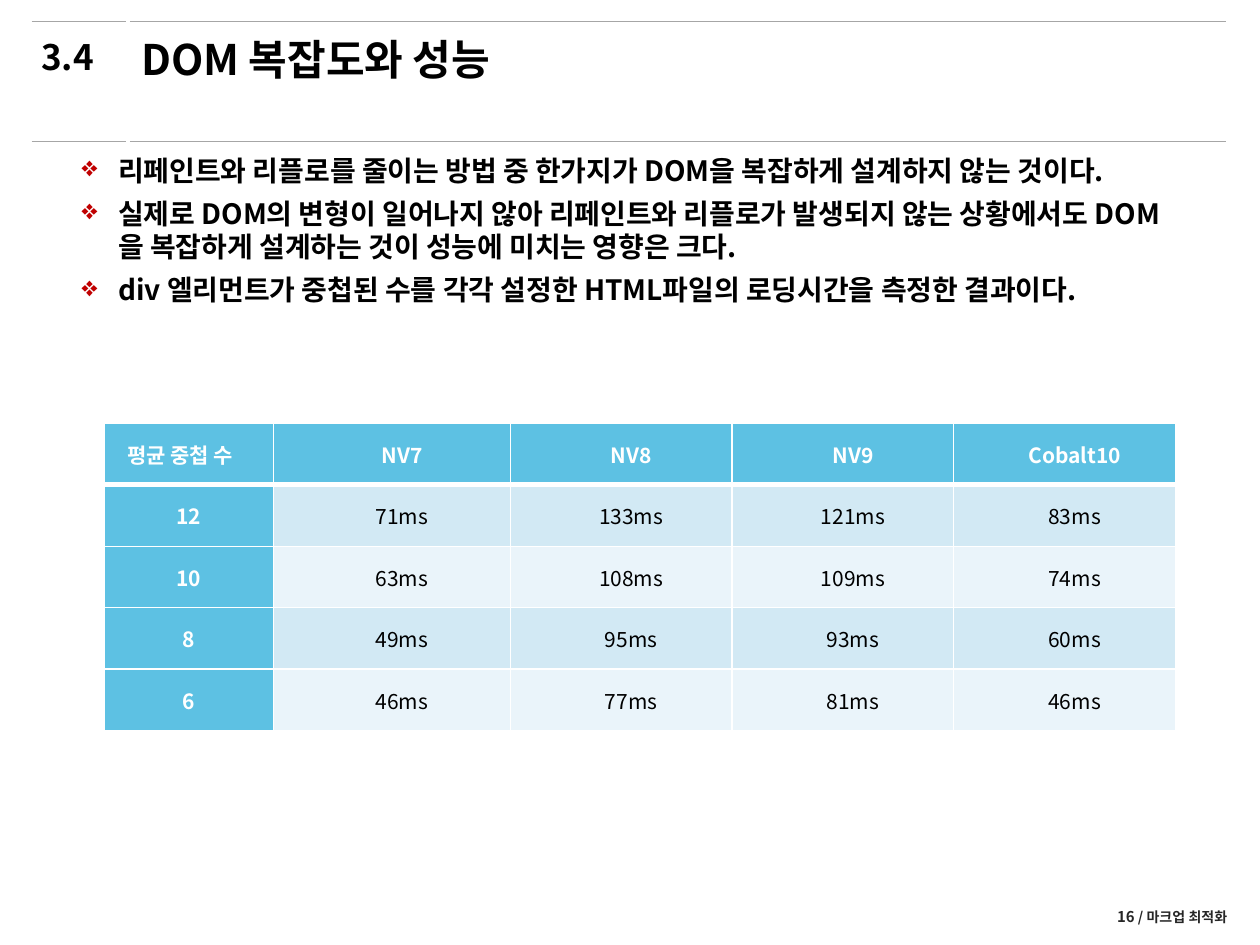
from lxml.etree import SubElement
from pptx import Presentation
from pptx.dml.color import RGBColor
from pptx.enum.shapes import MSO_CONNECTOR
from pptx.enum.text import MSO_ANCHOR, PP_ALIGN
from pptx.oxml.ns import qn
from pptx.util import Inches, Pt

FONT = "Noto Sans CJK KR"
SECTION = "3.4"
TITLE = "DOM 복잡도와 성능"
POINTS = [
    "리페인트와 리플로를 줄이는 방법 중 한가지가 DOM을 복잡하게 설계하지 않는 것이다.",
    "실제로 DOM의 변형이 일어나지 않아 리페인트와 리플로가 발생되지 않는 상황에서도 "
    "DOM을 복잡하게 설계하는 것이 성능에 미치는 영향은 크다.",
    "div 엘리먼트가 중첩된 수를 각각 설정한 HTML파일의 로딩시간을 측정한 결과이다.",
]
FOOTER = [("16", 8.5), (" / 마크업 최적화", 8)]
ROWS = [
    ("평균 중첩 수", "NV7", "NV8", "NV9", "Cobalt10"),
    ("12", "71ms", "133ms", "121ms", "83ms"),
    ("10", "63ms", "108ms", "109ms", "74ms"),
    ("8", "49ms", "95ms", "93ms", "60ms"),
    ("6", "46ms", "77ms", "81ms", "46ms"),
]
WIDTHS = [1.34, 1.88, 1.76, 1.76, 1.76]
HEAD, BANDS = "5DC1E3", ["EAF4FA", "D2E9F4"]


def color(code):
    """Turn a hex string into a colour."""
    return RGBColor.from_string(code)


def add_run(para, text, size, code="000000", bold=True):
    """Add one styled run to a paragraph."""
    run = para.add_run()
    run.text = text
    run.font.size, run.font.bold, run.font.name = Pt(size), bold, FONT
    run.font.color.rgb = color(code)
    SubElement(run.font._element, qn("a:ea"), typeface=FONT)


def indent(para, left, first):
    """Set the left margin and first-line indent in inches."""
    props = para._p.get_or_add_pPr()
    props.set("marL", str(Inches(left)))
    props.set("indent", str(Inches(first)))


def add_box(slide, left, top, width, height):
    """Add a wrapping text box and return its frame."""
    box = slide.shapes.add_textbox(*map(Inches, (left, top, width, height)))
    box.text_frame.word_wrap = True
    return box.text_frame


def add_rule(slide, start, end, y):
    """Draw one thin level rule."""
    rule = slide.shapes.add_connector(
        MSO_CONNECTOR.STRAIGHT, *map(Inches, (start, y, end, y)))
    rule.line.color.rgb = color("A6A6A6")
    rule.line.width = Pt(0.25)
    SubElement(rule._element.spPr, qn("a:effectLst"))


def add_title(slide):
    """Place and fill the title."""
    title = slide.shapes.title
    title.left, title.top, title.width, title.height = map(
        Inches, (1.02, 0.23, 8.48, 0.48))
    frame = title.text_frame
    frame.vertical_anchor = MSO_ANCHOR.MIDDLE
    frame.paragraphs[0].alignment = PP_ALIGN.LEFT
    add_run(frame.paragraphs[0], TITLE, 24)


def add_points(slide):
    """Write the bulleted points."""
    frame = add_box(slide, 0.55, 1.17, 8.91, 5.31)
    for i, text in enumerate(POINTS):
        para = frame.add_paragraph() if i else frame.paragraphs[0]
        indent(para, 0.29, -0.29)
        para.space_before, para.space_after = Pt(3.2 if i else 0), Pt(2)
        props = para._p.get_or_add_pPr()
        tint = SubElement(props, qn("a:buClr"))
        SubElement(tint, qn("a:srgbClr"), val="C00000")
        SubElement(props, qn("a:buChar"), char="❖")
        add_run(para, text, 16)


def add_border(cell, side, width):
    """Draw one white cell border."""
    line = SubElement(cell._tc.get_or_add_tcPr(), qn("a:" + side), w=str(Pt(width)))
    fill = SubElement(line, qn("a:solidFill"))
    SubElement(fill, qn("a:srgbClr"), val="FFFFFF")


def fill_cell(cell, text, row, col):
    """Style and fill one table cell."""
    label = row == 0 or col == 0
    thick = {(0, "lnB"), (1, "lnT")}
    for side in ("lnL", "lnR", "lnT", "lnB"):
        add_border(cell, side, 3 if (row, side) in thick else 1)
    cell.fill.solid()
    cell.fill.fore_color.rgb = color(HEAD if label else BANDS[row % 2])
    cell.vertical_anchor = MSO_ANCHOR.MIDDLE
    cell.margin_left = cell.margin_right = Inches(0.02)
    cell.margin_top = cell.margin_bottom = 0
    para = cell.text_frame.paragraphs[0]
    para.alignment = PP_ALIGN.LEFT if row == col == 0 else PP_ALIGN.CENTER
    para.space_after = Pt(3)
    indent(para, 0, 0.16 if row == 0 or col else 0)
    add_run(para, text, 12, "FFFFFF" if label else "000000", label)


def add_times(slide):
    """Build the table of loading times."""
    table = slide.shapes.add_table(
        len(ROWS), len(WIDTHS), *map(Inches, (0.83, 3.36, 8.5, 2.44))).table
    for col, width in zip(table.columns, WIDTHS):
        col.width = Inches(width)
    for r, row in enumerate(ROWS):
        for c, text in enumerate(row):
            fill_cell(table.cell(r, c), text, r, c)


def main():
    """Build and save the slide."""
    deck = Presentation()
    deck.slide_width, deck.slide_height = Inches(10), Inches(7.5)
    slide = deck.slides.add_slide(deck.slide_layouts[5])
    for y in (0.17, 1.12):
        for start, end in ((0.25, 1), (1.03, 9.73)):
            add_rule(slide, start, end, y)
    add_title(slide)
    add_points(slide)
    add_run(add_box(slide, 0.23, 0.23, 0.7, 0.47).paragraphs[0], SECTION, 20)
    add_times(slide)
    foot = add_box(slide, 6.8, 7.14, 3.04, 0.27)
    foot.vertical_anchor = MSO_ANCHOR.MIDDLE
    foot.paragraphs[0].alignment = PP_ALIGN.RIGHT
    for text, size in FOOTER:
        add_run(foot.paragraphs[0], text, size, "262626")
    deck.save("out.pptx")


if __name__ == "__main__":
    main()
